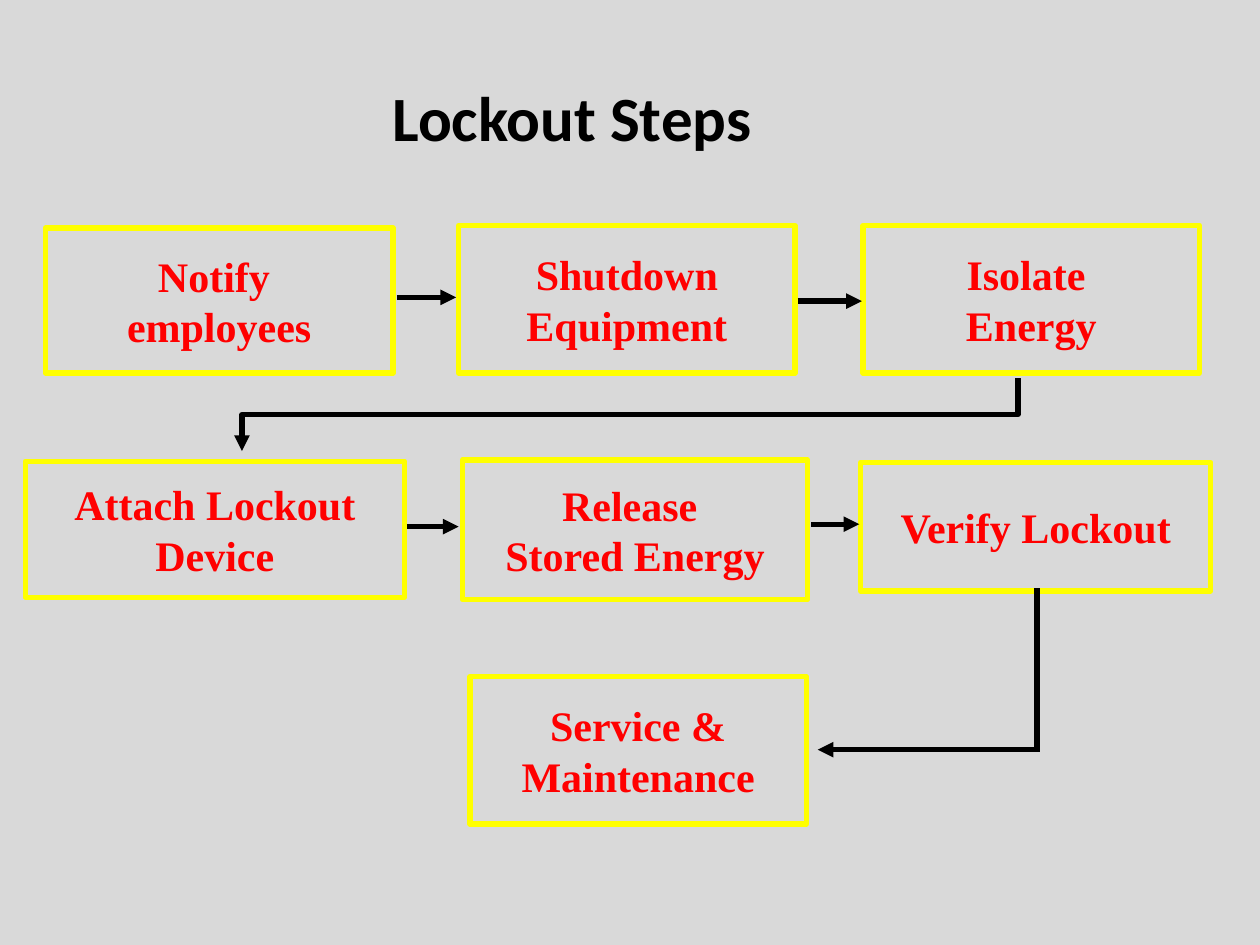
from pptx import Presentation
from pptx.dml.color import RGBColor as RGB
from pptx.enum.shapes import MSO_CONNECTOR as LINK, MSO_SHAPE as SHAPE
from pptx.enum.text import MSO_ANCHOR as ANCHOR, PP_ALIGN as ALIGN
from pptx.oxml.ns import qn
from pptx.util import Inches, Pt
from lxml import etree

COLORS = {"back": "D9D9D9", "edge": "FFFF00", "step": "FF0000", "ink": "000000"}
RIGHT, LEFT, BOTTOM = 3, 1, 2


class Deck:
    fonts = {
        "title": {"name": "Calibri", "size": Pt(36), "bold": True},
        "step": {"name": "Times New Roman", "size": Pt(24), "bold": True},
    }
    weight = Pt(3)

    def __init__(self, prs):
        self.slide = prs.slides.add_slide(prs.slide_layouts[5])
        fill = self.slide.background.fill
        fill.solid()
        fill.fore_color.rgb = RGB.from_string(COLORS["back"])

    def label(self, shape, text, font, color):
        frame = shape.text_frame
        frame.text = text
        frame.vertical_anchor = ANCHOR.MIDDLE
        for para in frame.paragraphs:
            para.alignment = ALIGN.CENTER
            for key, value in self.fonts[font].items():
                setattr(para.font, key, value)
            para.font.color.rgb = RGB.from_string(COLORS[color])

    def stroke(self, shape, color):
        shape.line.color.rgb = RGB.from_string(COLORS[color])
        shape.line.width = self.weight

    def title(self, text, *area):
        shape = self.slide.shapes.title
        for key, value in zip(("left", "top", "width", "height"), area):
            setattr(shape, key, Inches(value))
        self.label(shape, text, "title", "ink")

    def step(self, text, *area):
        box = self.slide.shapes.add_shape(
            SHAPE.FLOWCHART_PROCESS, *map(Inches, area))
        box.shadow.inherit = False
        box.fill.background()
        self.stroke(box, "edge")
        self.label(box, text, "step", "step")
        box.text_frame.word_wrap = False
        return box

    def link(self, ends, start=None, stop=None, head=True, kind=LINK.STRAIGHT):
        ends = [Inches(n) for n in ends]
        line = self.slide.shapes.add_connector(kind, *ends)
        if start:
            line.begin_connect(*start)
        if stop:
            line.end_connect(*stop)
        # Keep joined lines level, with a small gap at the boxes
        for key, value in zip(("begin_x", "begin_y", "end_x", "end_y"), ends):
            setattr(line, key, value)
        self.stroke(line, "ink")
        props = line._element.spPr
        if head:
            etree.SubElement(props.find(qn("a:ln")), qn("a:tailEnd"),
                             type="triangle")
        etree.SubElement(props, qn("a:effectLst"))
        return line

    def turn(self, *ends):
        # An elbow turned a quarter, so that it leaves and arrives upright
        line = self.link(ends, kind=LINK.ELBOW)
        line._element.spPr.find(qn("a:xfrm")).set("rot", str(90 * 60000))


def main():
    prs = Presentation()
    prs.slide_width, prs.slide_height = Inches(10), Inches(7.5)
    deck = Deck(prs)
    deck.title("Lockout Steps", 0, 0.3, 9.08, 1.25)

    # Steps
    steps = [
        ("Notify \nemployees", 0.36, 1.81, 2.76, 1.15),
        ("Shutdown\nEquipment", 3.64, 1.79, 2.67, 1.17),
        ("Isolate \nEnergy", 6.85, 1.79, 2.67, 1.17),
        ("Attach Lockout\nDevice", 0.2, 3.66, 3.01, 1.08),
        ("Release \nStored Energy", 3.67, 3.65, 2.74, 1.11),
        ("Verify Lockout", 6.83, 3.67, 2.78, 1.02),
        ("Service &\nMaintenance", 3.73, 5.37, 2.67, 1.17),
    ]
    boxes = [deck.step(*step) for step in steps]

    # Turn from the first row to the second
    deck.turn(4.71, 0.21, 5.29, 6.37)

    # Arrows along the rows
    for i, x1, x2, y in [(0, 3.15, 3.62, 2.36), (1, 6.33, 6.84, 2.39),
                         (3, 3.23, 3.64, 4.18), (4, 6.44, 6.82, 4.16)]:
        deck.link((x1, y, x2, y), (boxes[i], RIGHT), (boxes[i + 1], LEFT))

    # Way down to the last step
    deck.link((8.23, 4.67, 8.23, 5.97), (boxes[5], BOTTOM), head=False)
    deck.link((8.23, 5.95, 6.49, 5.95))

    prs.save("out.pptx")


if __name__ == "__main__":
    main()
